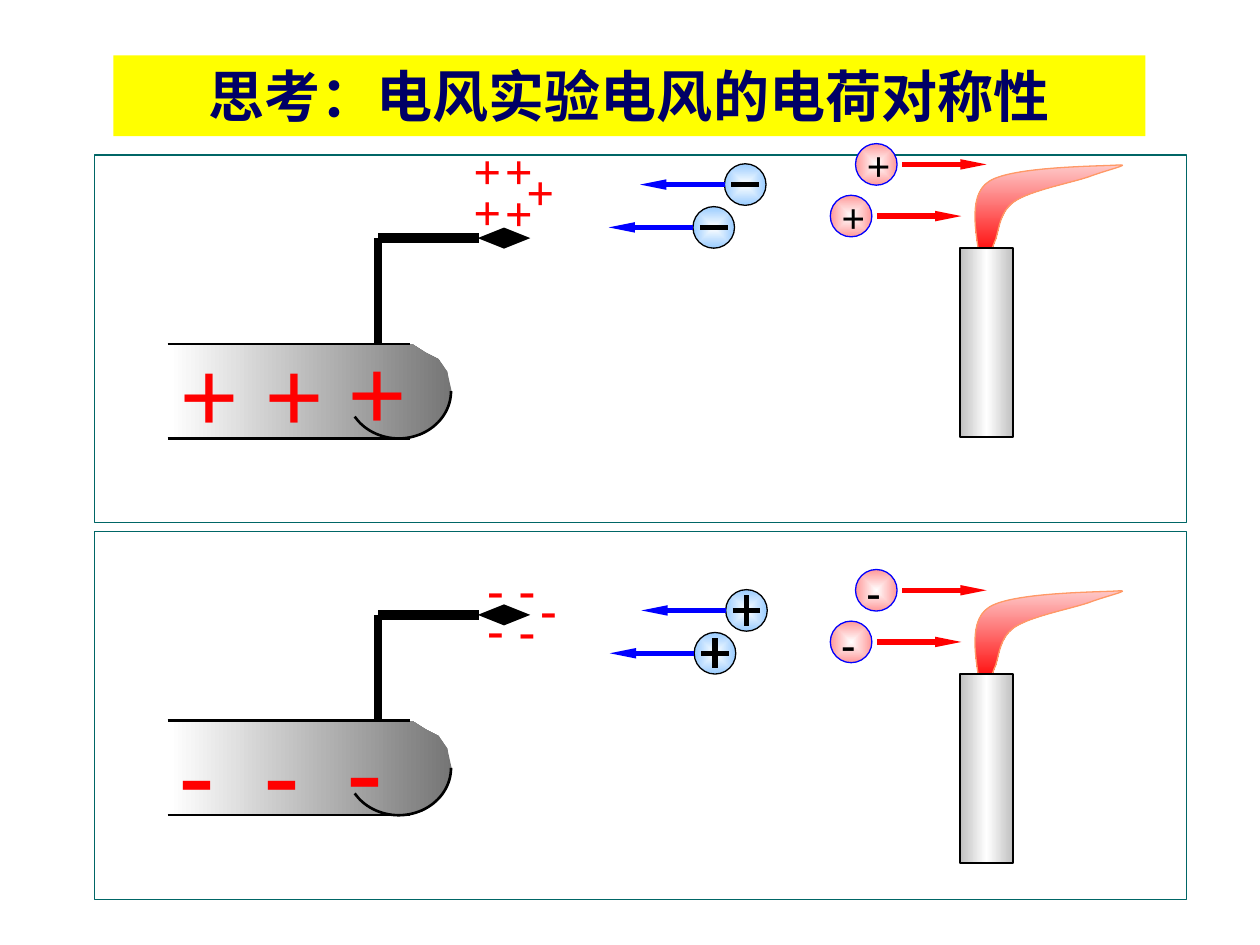
from dataclasses import dataclass
from typing import Any

from lxml import etree
from pptx import Presentation
from pptx.dml.color import RGBColor
from pptx.enum import shapes, text
from pptx.oxml import ns
from pptx.util import Inches, Pt

NAVY = RGBColor(0x00, 0x00, 0x66)
YELLOW = RGBColor(0xFF, 0xFF, 0x00)
WHITE = RGBColor(0xFF, 0xFF, 0xFF)
BLACK = RGBColor(0x00, 0x00, 0x00)
RED = RGBColor(0xFF, 0x00, 0x00)
BLUE = RGBColor(0x00, 0x00, 0xFF)
TEAL = RGBColor(0x00, 0x66, 0x66)
ORANGE = RGBColor(0xFF, 0x99, 0x66)
DARK = RGBColor(0x75, 0x75, 0x75)
SILVER = RGBColor(0xC0, 0xC0, 0xC0)
BLUSH = RGBColor(0xFE, 0xCB, 0xCB)
PINK = RGBColor(0xFF, 0x99, 0x99)
SKY = RGBColor(0x99, 0xCC, 0xFF)

RECT = shapes.MSO_SHAPE.RECTANGLE
OVAL = shapes.MSO_SHAPE.OVAL
ARC = shapes.MSO_SHAPE.ARC
BALL = 0.33
HALF = BALL / 2

Point = tuple[float, float]


@dataclass
class Blend:
    """Gradient fill; without an angle it spreads from the centre."""
    stops: list[RGBColor]
    angle: int | None = None


@dataclass
class Panel:
    rod: float      # drop of frame, rod and needle
    flame: float    # drop of candle and charges
    shift: float    # sideways shift of the blue charges
    sign: str       # charge on the rod
    puff: Point     # start of the signs at the needle tip
    width: float    # width of the sign box on a red charge


PANELS = [
    Panel(0, 0, 0, "+", (3.66, 1.07), 0.39),
    Panel(2.99, 3.38, 0.01, "-", (3.77, 4.38), 0.31),
]

BODY = [(1.35, 2.73), (3.27, 2.73), (3.38, 2.8), (3.48, 2.85), (3.55, 2.95),
        (3.59, 3.13), (3.53, 3.28), (3.41, 3.41), (3.35, 3.45), (3.23, 3.48),
        (1.35, 3.48)]
# A start, then two handles and an end for each curve
FLAME = [(7.77, 2.04), (7.77, 1.93), (7.66, 1.56), (7.85, 1.44),
         (8.03, 1.32), (8.73, 1.32), (8.87, 1.31),
         (9, 1.3), (8.78, 1.35), (8.65, 1.4),
         (8.51, 1.45), (8.18, 1.51), (8.05, 1.6),
         (7.92, 1.69), (7.93, 1.86), (7.89, 1.93),
         (7.86, 2.01), (7.87, 2.02), (7.85, 2.04),
         (7.83, 2.05), (7.79, 2.04), (7.77, 2.04)]


def blend(shape: Any, mix: Blend) -> None:
    shape.fill.background()
    old = shape._element.spPr.find(ns.qn("a:noFill"))
    grad = etree.Element(ns.qn("a:gradFill"), rotWithShape="1")
    old.getparent().replace(old, grad)
    stops = etree.SubElement(grad, ns.qn("a:gsLst"))
    for i, color in enumerate(mix.stops):
        place = str(100000 * i // (len(mix.stops) - 1))
        stop = etree.SubElement(stops, ns.qn("a:gs"), pos=place)
        etree.SubElement(stop, ns.qn("a:srgbClr"), val=str(color))
    if mix.angle is None:
        way = etree.SubElement(grad, ns.qn("a:path"), path="rect")
        etree.SubElement(way, ns.qn("a:fillToRect"), dict.fromkeys("ltrb", "50000"))
    else:
        etree.SubElement(grad, ns.qn("a:lin"), ang=str(mix.angle * 60000), scaled="0")


def paint(shape: Any, fill: RGBColor | Blend | None,
          line: RGBColor | None = None, width: float = 0.75) -> None:
    shape.shadow.inherit = False
    if isinstance(fill, Blend):
        blend(shape, fill)
    elif fill is None:
        shape.fill.background()
    else:
        shape.fill.solid()
        shape.fill.fore_color.rgb = fill
    if line is None:
        shape.line.fill.background()
    else:
        shape.line.color.rgb = line
        shape.line.width = Pt(width)


def block(pen: Any, kind: Any, box: tuple, *look: Any) -> Any:
    shape = pen.add_shape(kind, *map(Inches, box))
    paint(shape, *look)
    return shape


def bow(shape: Any) -> None:
    """Turn each three straight segments into one cubic curve."""
    legs = list(shape._element.spPr.iter(ns.qn("a:lnTo")))
    for i in range(0, len(legs), 3):
        curve = etree.Element(ns.qn("a:cubicBezTo"))
        legs[i].addprevious(curve)
        for leg in legs[i:i + 3]:
            curve.append(leg[0])
            leg.getparent().remove(leg)


def outline(pen: Any, points: list[Point], drop: float, *look: Any) -> Any:
    dots = [(Inches(x), Inches(y + drop)) for x, y in points]
    form = pen.build_freeform(*dots[0])
    form.add_line_segments(dots[1:], close=True)
    shape = form.convert_to_shape()
    paint(shape, *look)
    return shape


def line(pen: Any, start: Point, end: Point, color: RGBColor, width: float,
         head: str | None = None) -> None:
    link = pen.add_connector(shapes.MSO_CONNECTOR.STRAIGHT, *map(Inches, start + end))
    link.line.color.rgb = color
    link.line.width = Pt(width)
    if head:
        etree.SubElement(link.line._get_or_add_ln(), ns.qn("a:tailEnd"),
                         type=head, w="sm", len="lg")
    etree.SubElement(link._element.spPr, ns.qn("a:effectLst"))


def write(shape: Any, words: str, size: int, color: RGBColor,
          wrap: bool = True, align: Any = text.PP_ALIGN.LEFT) -> None:
    frame = shape.text_frame
    look = {"word_wrap": wrap, "vertical_anchor": text.MSO_ANCHOR.TOP,
            "auto_size": text.MSO_AUTO_SIZE.SHAPE_TO_FIT_TEXT}
    for key, val in look.items():
        setattr(frame, key, val)
    para = frame.paragraphs[0]
    para.alignment = align
    run = para.add_run()
    run.text = words
    for key, val in {"name": "Times New Roman", "size": Pt(size), "bold": True}.items():
        setattr(run.font, key, val)
    run.font.color.rgb = color


def mark(pen: Any, box: tuple, *look: Any) -> None:
    write(pen.add_textbox(*map(Inches, box)), *look)


def draw(page: Any, panel: Panel) -> None:
    # Frame, charged rod and needle
    pen, drop = page.add_group_shape().shapes, panel.rod
    block(pen, RECT, (0.75, 1.23 + drop, 8.67, 2.92), WHITE, TEAL)
    outline(pen, BODY, drop, Blend([DARK, WHITE], 180))
    for y in (2.73 + drop, 3.48 + drop):
        line(pen, (1.33, y), (3.25, y), BLACK, 1.5)
    cap = block(pen, ARC, (2.75, 2.73 + drop, 0.83, 0.75), None, BLACK, 1.5)
    cap.adjustments[0], cap.adjustments[1] = -90, 90
    bend = (3, 1.89 + drop)
    line(pen, (3, 2.73 + drop), bend, BLACK, 4.5)
    line(pen, bend, (4, 1.89 + drop), BLACK, 6, "diamond")
    for x, y in ((2.66, 2.54), (2, 2.56), (1.33, 2.56)):
        mark(pen, (x, y + drop, 0.92, 1.1), panel.sign, 60, RED)

    # Charges leaving the tip
    pen = page.add_group_shape().shapes
    left, top = panel.puff
    for x, y in ((0, 0), (0.25, 0), (0.25, 0.33), (0, 0.32), (0.42, 0.16)):
        mark(pen, (left + x, top + y, 0.5, 0.57), panel.sign, 28, RED)

    # Candle
    pen, drop = page.add_group_shape().shapes, panel.flame
    bow(outline(pen, FLAME, drop, Blend([BLUSH, RED], 90), ORANGE))
    block(pen, RECT, (7.62, 1.97 + drop, 0.42, 1.5),
          Blend([SILVER, WHITE, SILVER], 180), BLACK, 1)

    # Opposite charges drawn to the needle
    pen = page.add_group_shape().shapes
    for x, y in ((5.75, 1.3), (5.5, 1.64)):
        x, y = x + panel.shift, y + drop
        mid, hub = y + HALF, x + HALF
        block(pen, OVAL, (x, y, BALL, BALL), Blend([WHITE, SKY]), BLACK)
        line(pen, (hub - 0.11, mid), (hub + 0.11, mid), BLACK, 3)
        if panel.sign == "-":
            line(pen, (hub, mid - 0.12), (hub, mid + 0.12), BLACK, 3)
        line(pen, (x, mid), (x - 0.67, mid), BLUE, 3, "triangle")

    # Like charges blown to the flame
    pen = page.add_group_shape().shapes
    for x, y in ((6.79, 1.14), (6.59, 1.55)):
        y += drop
        mid = y + HALF
        block(pen, OVAL, (x, y, BALL, BALL), Blend([WHITE, PINK]), BLUE)
        mark(pen, (x - 0.01, y - 0.08, panel.width, 0.5), panel.sign, 24, BLACK, False)
        line(pen, (x + 0.37, mid), (x + 1.04, mid), RED, 3, "triangle")


def main() -> None:
    deck = Presentation()
    deck.slide_width, deck.slide_height = Inches(10), Inches(7.5)
    page = deck.slides.add_slide(deck.slide_layouts[6]).shapes
    title = block(page, RECT, (0.9, 0.44, 8.19, 0.64), YELLOW)
    write(title, "思考：电风实验电风的电荷对称性", 32, NAVY, True, text.PP_ALIGN.CENTER)
    for panel in PANELS:
        draw(page, panel)
    deck.save("out.pptx")


if __name__ == "__main__":
    main()
